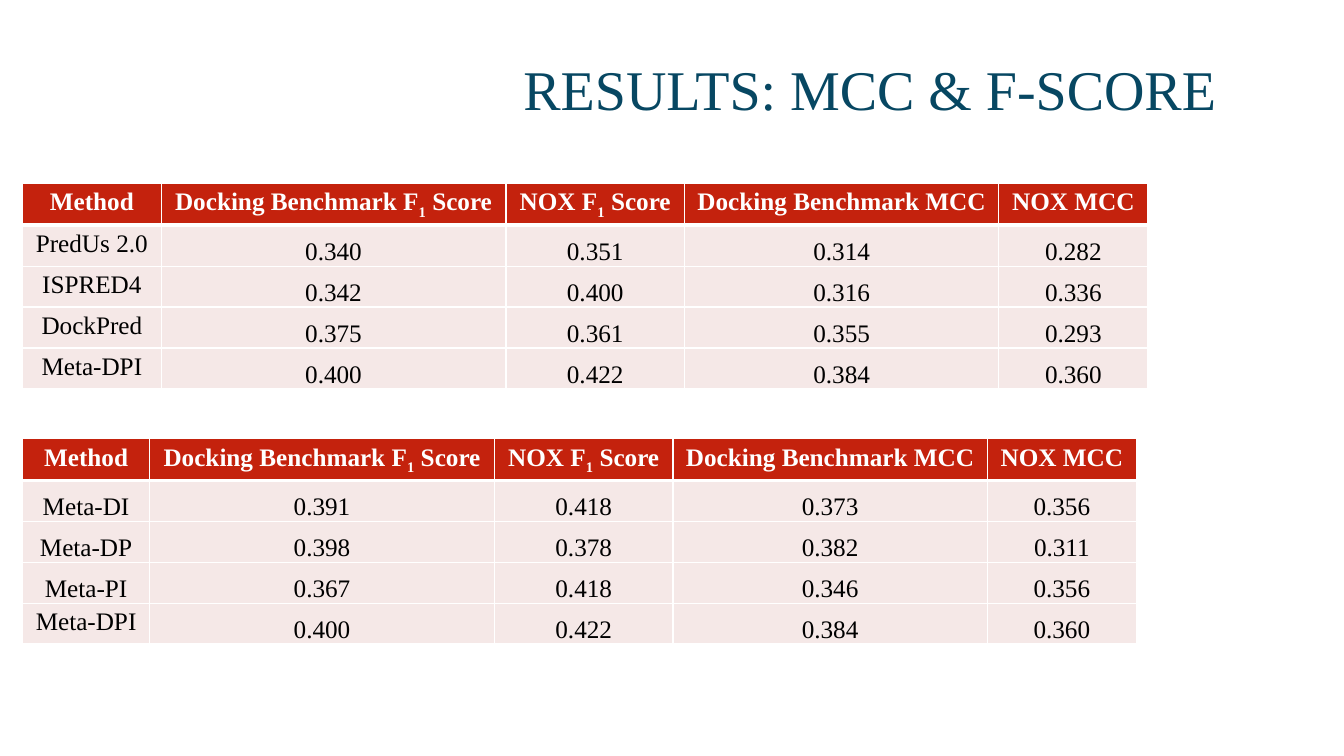
from lxml import etree
from pptx import Presentation
from pptx.dml.color import RGBColor
from pptx.enum.text import MSO_ANCHOR, PP_ALIGN
from pptx.oxml.ns import qn
from pptx.util import Cm, Pt

CENTER = PP_ALIGN.CENTER
TOP, MIDDLE, BOTTOM = MSO_ANCHOR.TOP, MSO_ANCHOR.MIDDLE, MSO_ANCHOR.BOTTOM
TITLE_ONLY = 5
FONT = "Times New Roman"
WHITE, BLACK, NAVY, RED, PINK = "FFFFFF", "000000", "074762", "C4220D", "F5E8E7"

TITLE_FORMAT = {"name": FONT, "size": Pt(40), "bold": False}
HEADER_FORMAT = {"name": FONT, "size": Pt(18), "bold": True}
BODY_FORMAT = {"name": FONT, "size": Pt(18), "bold": False}
TIGHT_CELL = {
    "vertical_anchor": BOTTOM,
    "margin_left": Cm(0.03),
    "margin_right": Cm(0.03),
    "margin_top": Cm(0.03),
    "margin_bottom": Cm(0),
}
LOOSE_CELL = {"vertical_anchor": TOP}

HEADERS = [
    ["Method"],
    ["Docking Benchmark F", "1", " Score"],
    ["NOX F", "1", " Score"],
    ["Docking Benchmark MCC"],
    ["NOX MCC"],
]
SCORE_WIDTHS = [8.69, 4.5, 7.92, 3.76]
ROW_HEIGHT = 1.03
META_DPI = ["Meta-DPI", "0.400", "0.422", "0.384", "0.360"]
METHOD_ROWS = [
    ["PredUs 2.0", "0.340", "0.351", "0.314", "0.282"],
    ["ISPRED4", "0.342", "0.400", "0.316", "0.336"],
    ["DockPred", "0.375", "0.361", "0.355", "0.293"],
    META_DPI,
]
COMBINATION_ROWS = [
    ["Meta-DI", "0.391", "0.418", "0.373", "0.356"],
    ["Meta-DP", "0.398", "0.378", "0.382", "0.311"],
    ["Meta-PI", "0.367", "0.418", "0.346", "0.356"],
    META_DPI,
]


def color(value):
    return RGBColor.from_string(value)


def apply(target, values):
    for name, value in values.items():
        setattr(target, name, value)


def write(para, pieces, values, ink):
    para.alignment = CENTER
    for piece in pieces:
        span = para.add_run()
        span.text = piece
        apply(span.font, values)
        span.font.color.rgb = color(ink)
        if piece == "1":
            span._r.get_or_add_rPr().set("baseline", "-25000")


def add_borders(cell, widths):
    properties = cell._tc.get_or_add_tcPr()
    for side, width in widths.items():
        line = etree.SubElement(properties, qn(f"a:ln{side}"), w=str(Pt(width)))
        fill = etree.SubElement(line, qn("a:solidFill"))
        etree.SubElement(fill, qn("a:srgbClr"), val=WHITE)


def fill_cell(cell, pieces, row, loose):
    header = row == 0
    apply(cell, LOOSE_CELL if loose else TIGHT_CELL)
    add_borders(cell, {"L": 1, "R": 1, "T": 3 if row == 1 else 1, "B": 3 if header else 1})
    cell.fill.solid()
    cell.fill.fore_color.rgb = color(RED if header else PINK)
    values, ink = (HEADER_FORMAT, WHITE) if header else (BODY_FORMAT, BLACK)
    write(cell.text_frame.paragraphs[0], pieces, values, ink)


def add_title(page, box, text):
    title = page.shapes.title
    apply(title, box)
    frame = title.text_frame
    apply(frame, {"vertical_anchor": MIDDLE, "word_wrap": True})
    frame.paragraphs[0].line_spacing = 0.9
    write(frame.paragraphs[0], [text], TITLE_FORMAT, NAVY)


def add_scores(page, left, top, method_width, records, loose_methods):
    widths = [method_width, *SCORE_WIDTHS]
    rows = [HEADERS] + [[[text] for text in record] for record in records]
    table = page.shapes.add_table(
        len(rows), len(widths), Cm(left), Cm(top),
        Cm(sum(widths)), Cm(ROW_HEIGHT * len(rows)),
    ).table
    table.horz_banding = False
    for column, width in zip(table.columns, widths):
        column.width = Cm(width)
    for row, entries in enumerate(rows):
        table.rows[row].height = Cm(ROW_HEIGHT)
        for column, pieces in enumerate(entries):
            loose = row == 0 or (column == 0 and pieces[0] in loose_methods)
            fill_cell(table.cell(row, column), pieces, row, loose)


def build_results(deck):
    page = deck.slides.add_slide(deck.slide_layouts[TITLE_ONLY])
    title_box = {"left": Cm(9.96), "top": Cm(0.53), "width": Cm(23.92), "height": Cm(3.58)}
    add_title(page, title_box, "RESULTS: MCC & F-SCORE")
    add_scores(page, 0.57, 4.62, 3.49, METHOD_ROWS, [record[0] for record in METHOD_ROWS])
    add_scores(page, 0.57, 11.05, 3.2, COMBINATION_ROWS, ["Meta-DPI"])


def main():
    deck = Presentation()
    apply(deck, {"slide_width": Cm(33.87), "slide_height": Cm(19.05)})
    build_results(deck)
    deck.save("out.pptx")


if __name__ == "__main__":
    main()
